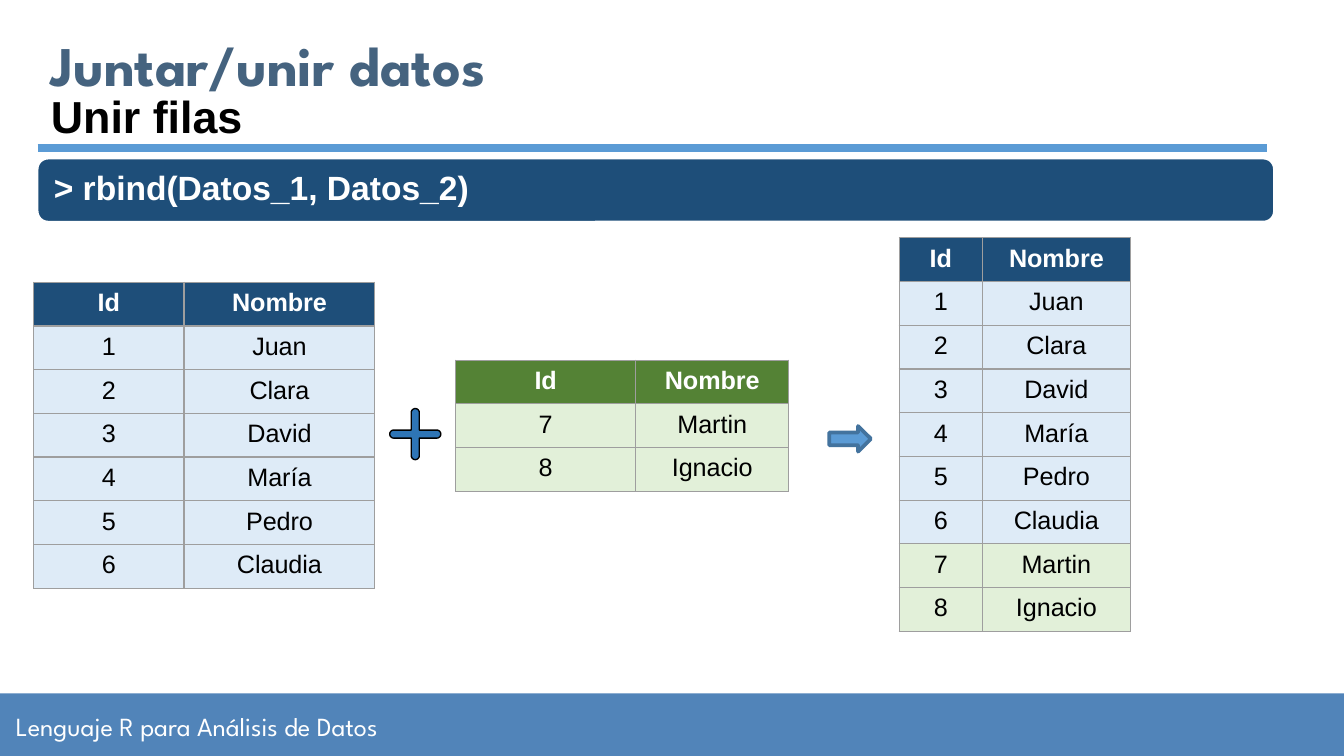
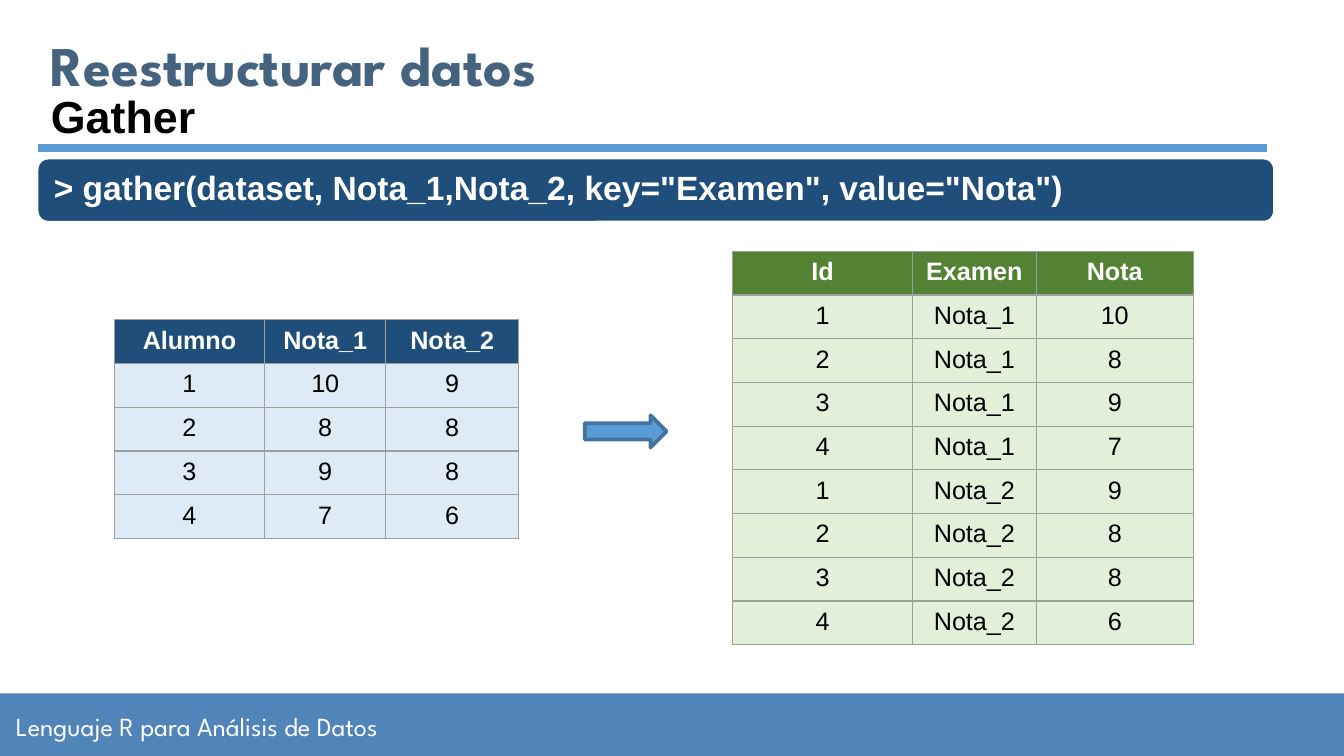
from math import cos, radians, sin

from pptx import Presentation
from pptx.dml.color import RGBColor
from pptx.enum.shapes import MSO_CONNECTOR, MSO_SHAPE
from pptx.enum.text import MSO_ANCHOR as Anchor, MSO_AUTO_SIZE as AutoSize, PP_ALIGN as Align
from pptx.oxml.ns import qn
from pptx.util import Inches, Pt
from lxml.etree import SubElement

# Shared look
DISPLAY, BODY = "League Spartan", "Arial"
WHITE, BLACK = "FFFFFF", "000000"
NAVY, GREEN = "1E4E79", "548235"
PALE_BLUE, PALE_GREEN = "DEEBF7", "E2F0D9"
SKY, ARROW_EDGE, PLUS_BLUE = "5B9BD5", "43739E", "2E75B6"
FOOTER_BLUE, TITLE_BLUE, GRID_GREY = "5184B9", "45637F", "9E9E9E"
ROW_HEIGHT = 0.32
FOOTER = "Lenguaje R para Análisis de Datos"

# Content
PEOPLE = [("1", "Juan"), ("2", "Clara"), ("3", "David"),
          ("4", "María"), ("5", "Pedro"), ("6", "Claudia")]
NEW_PEOPLE = [("7", "Martin"), ("8", "Ignacio")]
GRADES = [("1", "10", "9"), ("2", "8", "8"), ("3", "9", "8"), ("4", "7", "6")]
GATHERED = [(student, f"Nota_{exam}", grades[exam - 1])
            for exam in (1, 2) for student, *grades in GRADES]

# Each table: position, column widths, header, header fill, (rows, fill) blocks
SLIDES = [
    {
        "title": "Juntar/unir datos",
        "subtitle": "Unir filas",
        "command": "> rbind(Datos_1, Datos_2)",
        "tables": [
            ((0.25, 2.1), (1.12, 1.42), ("Id", "Nombre"), NAVY, [(PEOPLE, PALE_BLUE)]),
            ((3.39, 2.68), (1.34, 1.14), ("Id", "Nombre"), GREEN, [(NEW_PEOPLE, PALE_GREEN)]),
            ((6.69, 1.77), (0.62, 1.1), ("Id", "Nombre"), NAVY,
             [(PEOPLE, PALE_BLUE), (NEW_PEOPLE, PALE_GREEN)]),
        ],
        "plus": (3.09, 3.23),
        "arrow": (6.17, 3.17, 0.31, 0.19),
    },
    {
        "title": "Reestructurar datos",
        "subtitle": "Gather",
        "command": '> gather(dataset, Nota_1,Nota_2, key="Examen", value="Nota")',
        "tables": [
            ((0.85, 2.38), (1.12, 0.9, 0.99), ("Alumno", "Nota_1", "Nota_2"), NAVY,
             [(GRADES, PALE_BLUE)]),
            ((5.45, 1.87), (1.34, 0.92, 1.17), ("Id", "Examen", "Nota"), GREEN,
             [(GATHERED, PALE_GREEN)]),
        ],
        "arrow": (4.35, 3.09, 0.61, 0.24),
    },
]


def color(value):
    return RGBColor.from_string(value)


def paint(shape, fill, line=None, width=1):
    shape.shadow.inherit = False
    shape.fill.solid()
    shape.fill.fore_color.rgb = color(fill)
    if line:
        shape.line.color.rgb = color(line)
        shape.line.width = Pt(width)
    else:
        shape.line.fill.background()


def style(paragraph, font_name, size, font_color, bold=False):
    for run in paragraph.runs:
        run.font.name = font_name
        run.font.size = Pt(size)
        run.font.bold = bold
        run.font.color.rgb = color(font_color)


def add_shape(shapes, kind, box, fill, line=None, width=1):
    shape = shapes.add_shape(kind, *map(Inches, box))
    paint(shape, fill, line, width)
    return shape


def add_text(shapes, box, text, font, inset=(0.1, 0.1), anchor=Anchor.MIDDLE):
    frame = shapes.add_textbox(*map(Inches, box)).text_frame
    frame.word_wrap = True
    frame.vertical_anchor = anchor
    frame.margin_left = frame.margin_right = Inches(inset[0])
    frame.margin_top = frame.margin_bottom = Inches(inset[1])
    frame.text = text
    style(frame.paragraphs[0], *font)
    return frame


def add_frame(slide, content):
    shapes = slide.shapes
    # Footer band
    add_shape(shapes, MSO_SHAPE.RECTANGLE, (0, 5.16, 10, 0.47), FOOTER_BLUE)
    add_text(shapes, (0.02, 5.17, 4.97, 0.47), FOOTER, (DISPLAY, 14, WHITE))
    # Title
    add_text(shapes, (0.28, 0.22, 6.59, 0.51), content["title"],
             (DISPLAY, 30, TITLE_BLUE, True))
    # Command bar
    group = shapes.add_group_shape().shapes
    add_shape(group, MSO_SHAPE.ROUNDED_RECTANGLE, (0.28, 1.18, 9.2, 0.47), NAVY, WHITE)
    command = add_text(group, (0.32, 1.2, 9.11, 0.42), content["command"],
                       (BODY, 18, WHITE, True), (0.08, 0.08))
    command.paragraphs[0].line_spacing = 0.9
    # Subtitle and rule
    subtitle = add_text(shapes, (0.28, 0.61, 9.35, 0.5), content["subtitle"],
                        (BODY, 24, BLACK, True), (0.1, 0.05), Anchor.TOP)
    subtitle.auto_size = AutoSize.SHAPE_TO_FIT_TEXT
    rule = shapes.add_connector(MSO_CONNECTOR.STRAIGHT,
                                *map(Inches, (0.28, 1.1, 9.43, 1.1)))
    rule.line.color.rgb = color(SKY)
    rule.line.width = Pt(4.5)
    SubElement(rule._element.spPr, qn("a:effectLst"))


def add_borders(cell):
    properties = cell._tc.get_or_add_tcPr()
    for side in ("a:lnL", "a:lnR", "a:lnT", "a:lnB"):
        line = SubElement(properties, qn(side), w=str(Pt(0.75)))
        fill = SubElement(line, qn("a:solidFill"))
        SubElement(fill, qn("a:srgbClr"), val=GRID_GREY)


def add_table(slide, position, widths, header, header_fill, blocks):
    rows = [(header, header_fill, WHITE, True)]
    rows += [(row, fill, BLACK, False) for block, fill in blocks for row in block]
    box = (*position, sum(widths), ROW_HEIGHT * len(rows))
    table = slide.shapes.add_table(len(rows), len(widths), *map(Inches, box)).table
    table.horz_banding = False
    for column, width in zip(table.columns, widths):
        column.width = Inches(width)
    for table_row, (values, fill, font_color, bold) in zip(table.rows, rows):
        table_row.height = Inches(ROW_HEIGHT)
        for cell, value in zip(table_row.cells, values):
            add_borders(cell)
            cell.fill.solid()
            cell.fill.fore_color.rgb = color(fill)
            cell.text = value
            paragraph = cell.text_frame.paragraphs[0]
            paragraph.alignment = Align.CENTER
            style(paragraph, BODY, 13.5, font_color, bold)


def add_plus(slide, center, reach=0.19, radius=0.03):
    """Cross whose four arms end in round caps."""
    points = []
    for arm in range(0, 360, 90):
        direction = radians(arm)
        cap = [(reach - radius + radius * cos(radians(turn)), radius * sin(radians(turn)))
               for turn in range(-90, 91, 15)]
        for x, y in cap + [(radius, radius)]:
            points.append((Inches(center[0] + x * cos(direction) - y * sin(direction)),
                           Inches(center[1] + x * sin(direction) + y * cos(direction))))
    builder = slide.shapes.build_freeform(*points[0])
    builder.add_line_segments(points[1:], close=True)
    paint(builder.convert_to_shape(), PLUS_BLUE, BLACK, 0.75)


def main():
    presentation = Presentation()
    presentation.slide_width = Inches(10)
    presentation.slide_height = Inches(10) * 9 // 16
    for content in SLIDES:
        slide = presentation.slides.add_slide(presentation.slide_layouts[6])
        add_frame(slide, content)
        for table in content["tables"]:
            add_table(slide, *table)
        if "plus" in content:
            add_plus(slide, content["plus"])
        add_shape(slide.shapes, MSO_SHAPE.RIGHT_ARROW, content["arrow"], SKY, ARROW_EDGE, 2)
    presentation.save("out.pptx")


if __name__ == "__main__":
    main()
